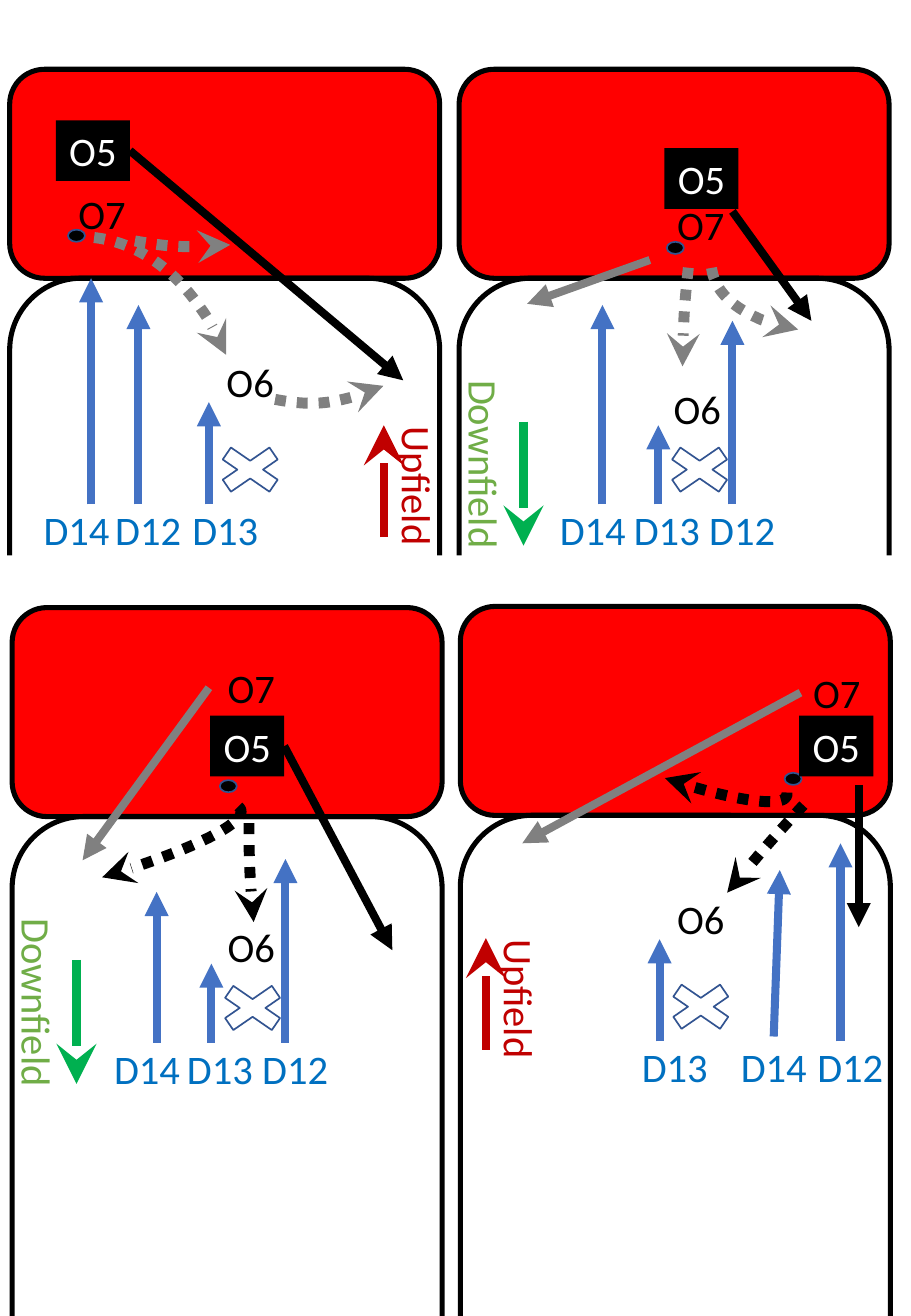
from dataclasses import dataclass
from typing import NamedTuple, Optional, Union

from lxml import etree
from pptx import Presentation
from pptx import util as u
from pptx.dml.color import RGBColor
from pptx.enum import dml, shapes, text
from pptx.oxml.ns import qn

CELL = 0.1  # grid pitch in inches: 75 columns by 108.3 rows
COLUMNS, ROWS = 75, 108.3
ZONE_WIDTH, ZONE_HEIGHT, FIELD_HEIGHT = 35.4, 17.2, 61.3
LABEL_HEIGHT, LABEL_ROW, RUSH_ROW = 5, 35.4, 35.8
TOP, LEFT, RIGHT = 0, 1, 3  # connection sites of a rectangle


@dataclass(frozen=True)
class Theme:
    font: str = "Calibri"
    size: float = 24
    black: str = "000000"
    white: str = "FFFFFF"
    grey: str = "808080"
    zone: str = "FF0000"
    outline: str = "325491"
    rush: str = "4472C4"
    defender: str = "0070C0"
    border: float = 3
    thin: float = 1
    arrow: float = 4.75
    dots: float = 6.5


THEME = Theme()


class Spot(NamedTuple):
    """A point in grid cells."""
    x: float
    y: float


class Joint(NamedTuple):
    """A side of a named player's box."""
    player: str
    side: int


class Area(NamedTuple):
    """Left, top, width and height in grid cells."""
    x: float
    y: float
    width: float
    height: float


class Defender(NamedTuple):
    name: str
    left: float
    tip: Spot
    column: Optional[float] = None  # arrow column; None joins the label
    width: float = 7.4


class Run(NamedTuple):
    start: Union[Spot, Joint]
    tip: Spot
    color: str


class Curve(NamedTuple):
    area: Area
    turn: float
    color: str
    flipped: bool = True


@dataclass(frozen=True)
class Signpost:
    word: str
    width: float
    word_color: str
    arrow_color: str
    back: Spot  # both arrow ends are measured from the word's corner
    tip: Spot


UPFIELD = Signpost("Upfield", 13.4, "C00000", "C00000", Spot(3.9, 6.7), Spot(3.9, -2.5))
DOWNFIELD = Signpost("Downfield", 17.2, "70AD47", "00B050", Spot(11.8, -1), Spot(11.8, 9.2))


@dataclass(frozen=True)
class Panel:
    origin: Spot
    o5: Spot
    o6: Spot
    o7: Spot
    ball: Spot
    sign: Signpost
    sign_at: Spot
    defenders: list[Defender]
    runs: list[Run]
    curves: list[Curve]
    o7_width: float = 6


def cells(count: float) -> u.Length:
    return u.Inches(count * CELL)


def shift(origin: Spot, spot: Spot) -> Spot:
    return Spot(origin.x + spot.x, origin.y + spot.y)


def write(box, words: str, *, color: str, size: float = THEME.size) -> None:
    frame = box.text_frame
    frame.word_wrap = False
    frame.auto_size = text.MSO_AUTO_SIZE.SHAPE_TO_FIT_TEXT
    para = frame.paragraphs[0]
    para.alignment = text.PP_ALIGN.CENTER
    span = para.add_run()
    span.text = words
    span.font.name, span.font.size = THEME.font, u.Pt(size)
    span.font.color.rgb = RGBColor.from_string(color)


def add_label(page, area: Area, words: str, color: str, turn: float = 0):
    box = page.shapes.add_textbox(*map(cells, area))
    box.rotation = turn
    write(box, words, color=color)
    return box


def add_block(page, kind, area: Area, *, fill: Optional[str] = None,
              line: Optional[str] = None, weight: float = THEME.thin):
    block = page.shapes.add_shape(kind, *map(cells, area))
    block.shadow.inherit = False
    if fill:
        block.fill.solid()
        block.fill.fore_color.rgb = RGBColor.from_string(fill)
    else:
        block.fill.background()
    if line:
        block.line.color.rgb = RGBColor.from_string(line)
        block.line.width = u.Pt(weight)
    else:
        block.line.fill.background()
    return block


def add_head(shape, kind: str, size: str = "med") -> None:
    outline = shape.element.spPr.find(qn("a:ln"))
    etree.SubElement(outline, qn("a:tailEnd"), type=kind, w=size, len=size)


def add_arrow(page, start: Spot, tip: Spot, color: str, head: str = "triangle", size: str = "med"):
    arrow = page.shapes.add_connector(
        shapes.MSO_CONNECTOR.STRAIGHT, *map(cells, (*start, *tip)))
    arrow.line.color.rgb = RGBColor.from_string(color)
    arrow.line.width = u.Pt(THEME.arrow)
    add_head(arrow, head, size)
    etree.SubElement(arrow.element.spPr, qn("a:effectLst"))
    return arrow


def add_curve(page, origin: Spot, curve: Curve) -> None:
    area = Area(*shift(origin, Spot(*curve.area[:2])), *curve.area[2:])
    arc = add_block(page, shapes.MSO_SHAPE.ARC, area, line=curve.color, weight=THEME.dots)
    arc.adjustments[0], arc.adjustments[1] = 161.32, 178.96
    arc.rotation = curve.turn
    arc.line.dash_style = dml.MSO_LINE.ROUND_DOT
    add_head(arc, "stealth")
    if curve.flipped:
        arc.element.spPr.find(qn("a:xfrm")).set("flipV", "1")


def add_panel(page, panel: Panel) -> None:
    kinds = shapes.MSO_SHAPE

    def place(spot: Spot, width: float, height: float) -> Area:
        return Area(*shift(panel.origin, spot), width, height)

    # End zone, field and line of scrimmage mark
    border = dict(line=THEME.black, weight=THEME.border)
    add_block(page, kinds.ROUNDED_RECTANGLE, place(Spot(0, 0), ZONE_WIDTH, ZONE_HEIGHT),
              fill=THEME.zone, **border)
    add_block(page, kinds.ROUNDED_RECTANGLE, place(Spot(0, ZONE_HEIGHT), ZONE_WIDTH, FIELD_HEIGHT),
              **border)
    add_block(page, kinds.MATH_MULTIPLY, place(Spot(16.1, 30.4), 7.4, 5.1), line=THEME.outline)

    # Offence and ball
    add_label(page, place(panel.o6, 6, LABEL_HEIGHT), "O6", THEME.black)
    o7 = add_label(page, place(panel.o7, panel.o7_width, LABEL_HEIGHT), "O7", THEME.black)
    add_block(page, kinds.OVAL, place(panel.ball, 1.4, 1), fill=THEME.black, line=THEME.outline)
    o5 = add_block(page, kinds.RECTANGLE, place(panel.o5, 6.1, LABEL_HEIGHT), fill=THEME.black)
    write(o5, "O5", color=THEME.white)
    players = {"O5": o5, "O7": o7}

    # Defence and every straight run
    runs = list(panel.runs)
    for name, left, tip, column, width in panel.defenders:
        players[name] = add_label(page, place(Spot(left, LABEL_ROW), width, LABEL_HEIGHT),
                                  name, THEME.defender)
        start = Joint(name, TOP) if column is None else Spot(column, RUSH_ROW)
        runs.append(Run(start, tip, THEME.rush))
    for start, tip, color in runs:
        joined = isinstance(start, Joint)
        origin = Spot(0, 0) if joined else start
        arrow = add_arrow(page, shift(panel.origin, origin), shift(panel.origin, tip), color)
        if joined:
            arrow.begin_connect(players[start.player], start.side)
    for curve in panel.curves:
        add_curve(page, panel.origin, curve)

    # Direction of play
    sign, corner = panel.sign, shift(panel.origin, panel.sign_at)
    add_label(page, Area(*corner, sign.width, LABEL_HEIGHT), sign.word, sign.word_color, 90)
    add_arrow(page, shift(corner, sign.back), shift(corner, sign.tip),
              sign.arrow_color, "stealth", "lg")


def rush(name: str, left: float, column: float, row: float, width: float = 7.4) -> Defender:
    return Defender(name, left, Spot(column, row), column, width)


TOP_PANELS = [
    Panel(Spot(0.8, 5.7), Spot(3.8, 4.2), Spot(16.8, 23.2), Spot(4.6, 9.4), Spot(4.8, 13.2),
          UPFIELD, Spot(26.9, 31.8),
          [rush("D12", 7.7, 10.6, 19.4), rush("D13", 12.6, 16.4, 27.4, 10.3),
           rush("D14", 1.8, 6.7, 17.2)],
          [Run(Joint("O5", RIGHT), Spot(32.4, 25.6), THEME.black)],
          [Curve(Area(-15, 13.5, 35, 59.1), 9.8, THEME.grey, False),
           Curve(Area(-7.5, -15.5, 41.3, 29.9), 9.8, THEME.grey),
           Curve(Area(9.4, -8.4, 31.7, 35.9), 9.8, THEME.grey)]),
    Panel(Spot(37.8, 5.7), Spot(16.9, 6.5), Spot(16.6, 25.4), Spot(16.9, 10.3), Spot(17.1, 14.2),
          DOWNFIELD, Spot(-6.5, 30),
          [rush("D12", 19.6, 22.5, 20.7), rush("D13", 12.4, 16.4, 29.3, 9.4),
           rush("D14", 7.3, 11.8, 19.4)],
          [Run(Spot(22.5, 11.7), Spot(29, 20.7), THEME.black),
           Run(Spot(15.7, 15.7), Spot(5.6, 19.3), THEME.grey)],
          [Curve(Area(29.6, -4.3, 16.3, 34.6), 77.7, THEME.grey),
           Curve(Area(-0.5, 3.3, 68.4, 29.9), 96.2, THEME.grey)]),
]
BOTTOM_PANELS = [
    Panel(Spot(37.9, 49.9), Spot(27.9, 9), Spot(16.8, 23.2), Spot(28, 4.6), Spot(26.7, 13.7),
          UPFIELD, Spot(-1.8, 29.8),
          [rush("D12", 28.4, 31.3, 19.5), rush("D13", 12.5, 16.4, 27.4, 10.3),
           Defender("D14", 22.1, Spot(26.3, 21.7))],
          [Run(Spot(32.8, 14.7), Spot(32.8, 26.4), THEME.black),
           Run(Joint("O7", LEFT), Spot(5.1, 19.5), THEME.grey)],
          [Curve(Area(11.3, -3.7, 4.8, 28.3), 111.4, THEME.black, False),
           Curve(Area(-11.3, 11, 104.2, 34.8), 132.7, THEME.black)]),
    Panel(Spot(1, 50), Spot(16.3, 8.9), Spot(16.7, 25.4), Spot(16.2, 4.1), Spot(17.1, 14.2),
          DOWNFIELD, Spot(-6.5, 30),
          [rush("D12", 19.6, 22.5, 20.7), rush("D13", 12.4, 16.4, 29.3, 9.4),
           rush("D14", 7.4, 11.9, 23.4)],
          [Run(Joint("O5", RIGHT), Spot(31.3, 28.2), THEME.black),
           Run(Joint("O7", LEFT), Spot(5.8, 20.8), THEME.grey)],
          [Curve(Area(-0.6, 3.6, 5.4, 34.5), 76, THEME.black, False),
           Curve(Area(-0.4, 3.1, 69.7, 29.9), 90, THEME.black)], o7_width=7),
]


def main() -> None:
    deck = Presentation()
    deck.slide_width, deck.slide_height = cells(COLUMNS), cells(ROWS)
    page = deck.slides.add_slide(deck.slide_layouts[6])
    for panel in TOP_PANELS:
        add_panel(page, panel)
    # White band that ends the upper fields
    add_block(page, shapes.MSO_SHAPE.RECTANGLE, Area(0, 45.7, 73.8, 61.3), fill=THEME.white)
    for panel in BOTTOM_PANELS:
        add_panel(page, panel)
    deck.save("out.pptx")


if __name__ == "__main__":
    main()
